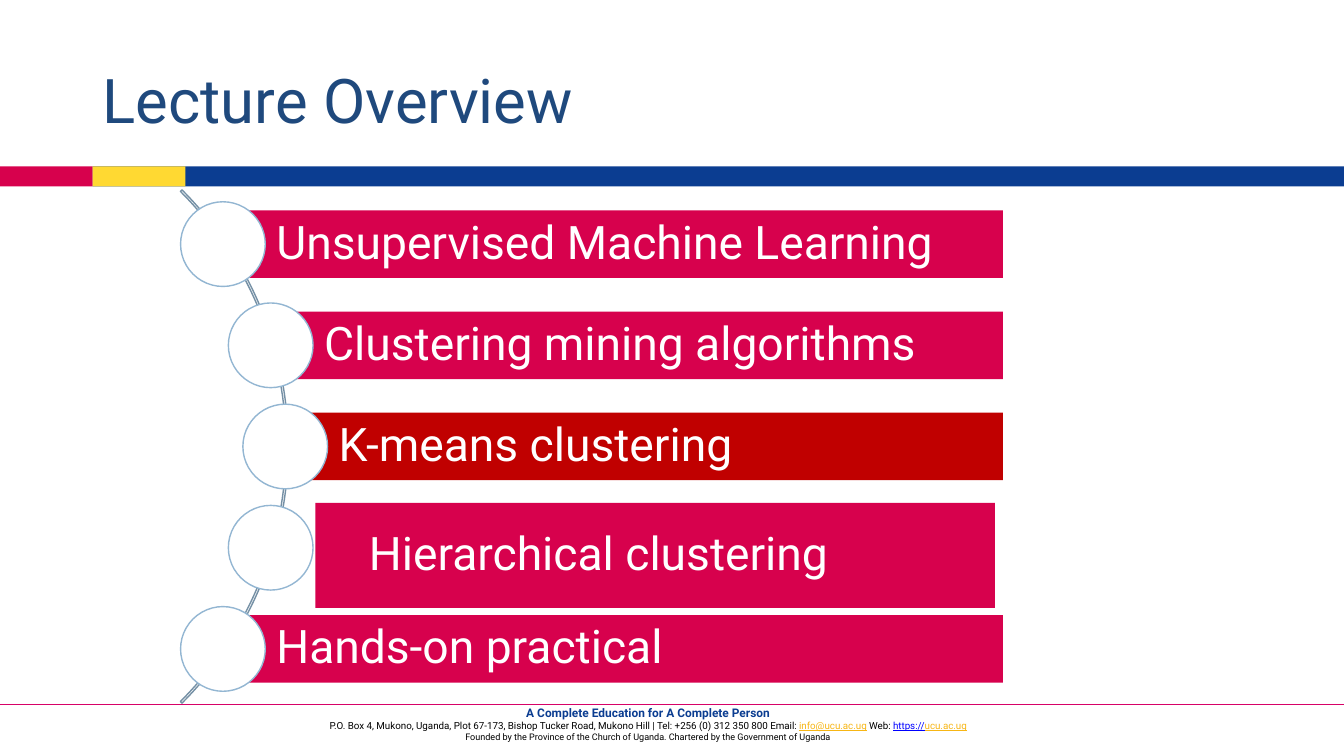
from dataclasses import dataclass
from math import sqrt
from typing import Optional

from lxml.etree import SubElement
from pptx import Presentation
from pptx.dml.color import RGBColor
from pptx.enum.shapes import MSO_CONNECTOR, MSO_SHAPE
from pptx.enum.text import MSO_ANCHOR, MSO_AUTO_SIZE, PP_ALIGN
from pptx.oxml.ns import qn
from pptx.shapes.autoshape import Shape
from pptx.slide import Slide
from pptx.text.text import Font
from pptx.util import Emu, Inches, Pt

WHITE = RGBColor(0xFF, 0xFF, 0xFF)
BLACK = RGBColor(0x00, 0x00, 0x00)
BLUE = RGBColor(0x0B, 0x3D, 0x91)
TITLE_BLUE = RGBColor(0x1F, 0x49, 0x7D)
LINK_BLUE = RGBColor(0x00, 0x00, 0xFF)
CRIMSON = RGBColor(0xD7, 0x01, 0x4D)
DARK_RED = RGBColor(0xC0, 0x00, 0x00)
YELLOW = RGBColor(0xFF, 0xD9, 0x32)
AMBER = RGBColor(0xF7, 0xB6, 0x15)
MAGENTA = RGBColor(0xD7, 0x01, 0x67)
ARC_GREY = RGBColor(0x75, 0x90, 0xA5)
CIRCLE_BLUE = RGBColor(0x93, 0xB6, 0xD2)

FONT = "Roboto"
CELL = Inches(0.1)
COLUMNS, ROWS = 133.33, 75
ARC_COLUMN, ARC_ROW, ARC_RADIUS = -7.4, 44.3, 36
TOPIC_RADIUS, TOPIC_PITCH, CIRCLE_SIZE = 35.7, 10.04, 8.4
BAR_RIGHT, BAR_HEIGHT = 99.5, 6.7


@dataclass(frozen=True)
class Box:
    column: float
    row: float
    columns: float
    rows: float


@dataclass(frozen=True)
class Band:
    box: Box
    color: RGBColor


@dataclass(frozen=True)
class Topic:
    text: str
    color: RGBColor = CRIMSON
    box: Optional[Box] = None


@dataclass(frozen=True)
class Span:
    text: str
    size: float
    color: RGBColor = BLACK
    bold: bool = False
    underline: bool = False


BANDS = [
    Band(Box(9.2, 16.5, COLUMNS - 9.2, 2), BLUE),
    Band(Box(0, 16.5, 9.2, 2), CRIMSON),
    Band(Box(9.2, 16.5, 9.2, 2), YELLOW),
]
TOPICS = [
    Topic("Unsupervised Machine Learning"),
    Topic("Clustering mining algorithms"),
    Topic("K-means clustering", DARK_RED),
    Topic("Hierarchical clustering", box=Box(31.3, 49.9, 67.4, 10.4)),
    Topic("Hands-on practical"),
]
FOOTER = [
    [Span("A Complete Education for A Complete Person", 8.5, BLUE, bold=True)],
    [
        Span("P.O. Box 4, Mukono, Uganda, Plot 67-173, Bishop Tucker Road, Mukono Hill"
             " | Tel: +256 (0) 312 350 800 Email: ", 7),
        Span("info@ucu.ac.ug", 7, AMBER, underline=True),
        Span(" Web: ", 7),
        Span("https://", 7, LINK_BLUE, underline=True),
        Span("ucu.ac.ug", 7, AMBER, underline=True),
    ],
    [Span("Founded by the Province of the Church of Uganda."
          " Chartered by the Government of Uganda", 6.5)],
]


def cells(count: float) -> Emu:
    return Emu(round(count * CELL))


def place(box: Box) -> tuple[Emu, Emu, Emu, Emu]:
    return cells(box.column), cells(box.row), cells(box.columns), cells(box.rows)


def style(font: Font, size: float, color: RGBColor) -> None:
    font.name = FONT
    font.size = Pt(size)
    font.color.rgb = color


def add_block(slide: Slide, kind: MSO_SHAPE, box: Box, fill: Optional[RGBColor],
              line: Optional[RGBColor] = None) -> Shape:
    shape = slide.shapes.add_shape(kind, *place(box))
    shape.shadow.inherit = False
    if fill is None:
        shape.fill.background()
    else:
        shape.fill.solid()
        shape.fill.fore_color.rgb = fill
    if line is None:
        shape.line.fill.background()
    else:
        shape.line.color.rgb = line
        shape.line.width = Pt(1)
    return shape


def add_title(slide: Slide, text: str) -> None:
    title = slide.shapes.title
    title.left, title.top, title.width, title.height = place(Box(9.2, 4, 115, 12.5))
    frame = title.text_frame
    frame.text = text
    frame.auto_size = MSO_AUTO_SIZE.NONE
    frame.vertical_anchor = MSO_ANCHOR.MIDDLE
    paragraph = frame.paragraphs[0]
    paragraph.alignment = PP_ALIGN.LEFT
    paragraph.line_spacing = 0.9
    style(paragraph.runs[0].font, 44, TITLE_BLUE)


def add_topic(slide: Slide, index: int, topic: Topic) -> None:
    offset = (index - (len(TOPICS) - 1) / 2) * TOPIC_PITCH
    center = ARC_COLUMN + sqrt(TOPIC_RADIUS ** 2 - offset ** 2)
    middle = ARC_ROW + offset
    box = topic.box or Box(center, middle - BAR_HEIGHT / 2, BAR_RIGHT - center, BAR_HEIGHT)
    bar = add_block(slide, MSO_SHAPE.RECTANGLE, box, topic.color)
    frame = bar.text_frame
    frame.text = topic.text
    frame.word_wrap = True
    frame.vertical_anchor = MSO_ANCHOR.MIDDLE
    frame.margin_left = cells(5.3)
    frame.margin_top = frame.margin_right = frame.margin_bottom = cells(0.9)
    paragraph = frame.paragraphs[0]
    paragraph.alignment = PP_ALIGN.LEFT
    paragraph.line_spacing = 0.9
    style(paragraph.runs[0].font, 33, WHITE)
    circle = Box(center - CIRCLE_SIZE / 2, middle - CIRCLE_SIZE / 2, CIRCLE_SIZE, CIRCLE_SIZE)
    add_block(slide, MSO_SHAPE.OVAL, circle, WHITE, CIRCLE_BLUE)


def add_arc(slide: Slide) -> None:
    box = Box(ARC_COLUMN - ARC_RADIUS, ARC_ROW - ARC_RADIUS, 2 * ARC_RADIUS, 2 * ARC_RADIUS)
    arc = add_block(slide, MSO_SHAPE.BLOCK_ARC, box, None, ARC_GREY)
    for index, value in enumerate((189, 27, 0.003)):
        arc.adjustments[index] = value


def add_footer(slide: Slide) -> None:
    frame = slide.shapes.add_textbox(*place(Box(23.2, 69.5, 82.2, 4.7))).text_frame
    frame.word_wrap = True
    for index, spans in enumerate(FOOTER):
        paragraph = frame.add_paragraph() if index else frame.paragraphs[0]
        paragraph.alignment = PP_ALIGN.CENTER
        for span in spans:
            run = paragraph.add_run()
            run.text = span.text
            style(run.font, span.size, span.color)
            run.font.bold = span.bold
            run.font.underline = span.underline
    rule = slide.shapes.add_connector(
        MSO_CONNECTOR.STRAIGHT, 0, cells(69.9), cells(COLUMNS), cells(69.9))
    rule.line.color.rgb = MAGENTA
    rule.line.width = Pt(1)
    SubElement(rule._element.spPr, qn("a:effectLst"))


def main() -> None:
    presentation = Presentation()
    presentation.slide_width = cells(COLUMNS)
    presentation.slide_height = cells(ROWS)
    slide = presentation.slides.add_slide(presentation.slide_layouts[5])
    for band in BANDS:
        add_block(slide, MSO_SHAPE.RECTANGLE, band.box, band.color)
    add_footer(slide)
    add_title(slide, "Lecture Overview")
    add_arc(slide)
    for index, topic in enumerate(TOPICS):
        add_topic(slide, index, topic)
    presentation.save("out.pptx")


if __name__ == "__main__":
    main()
